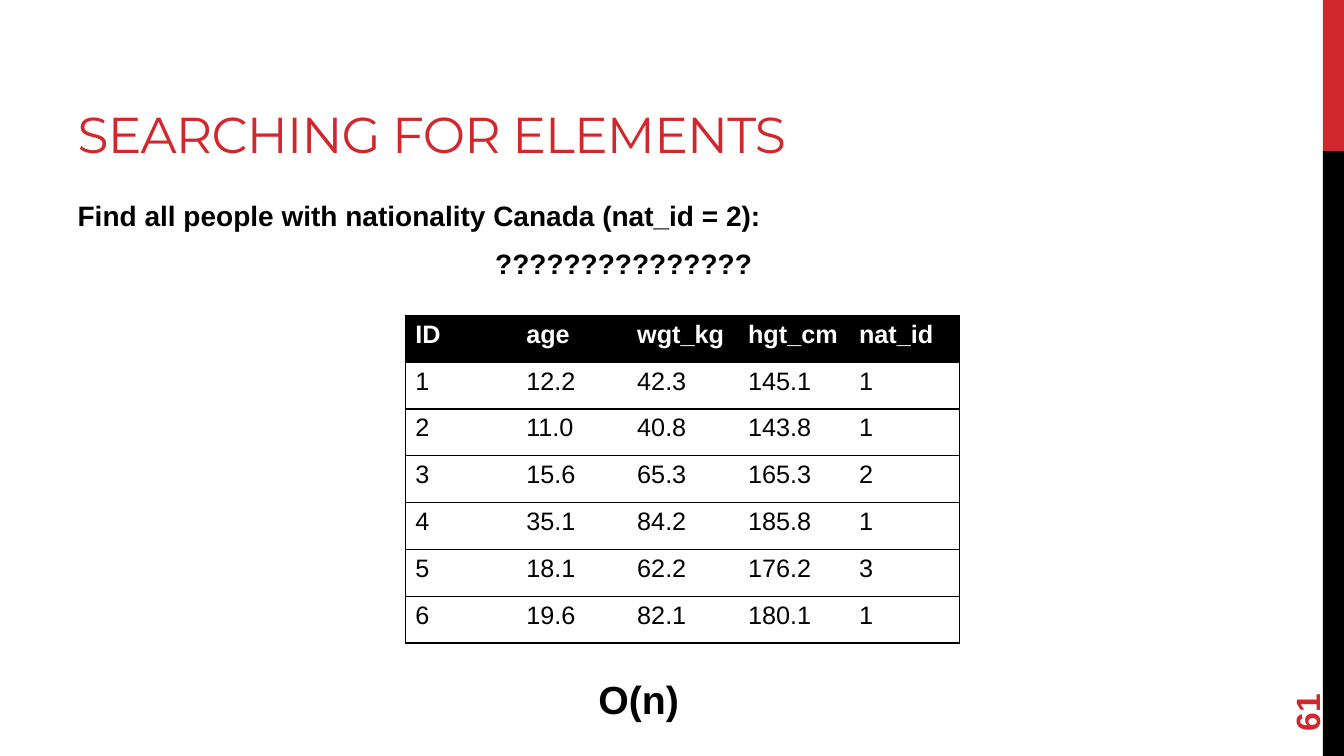
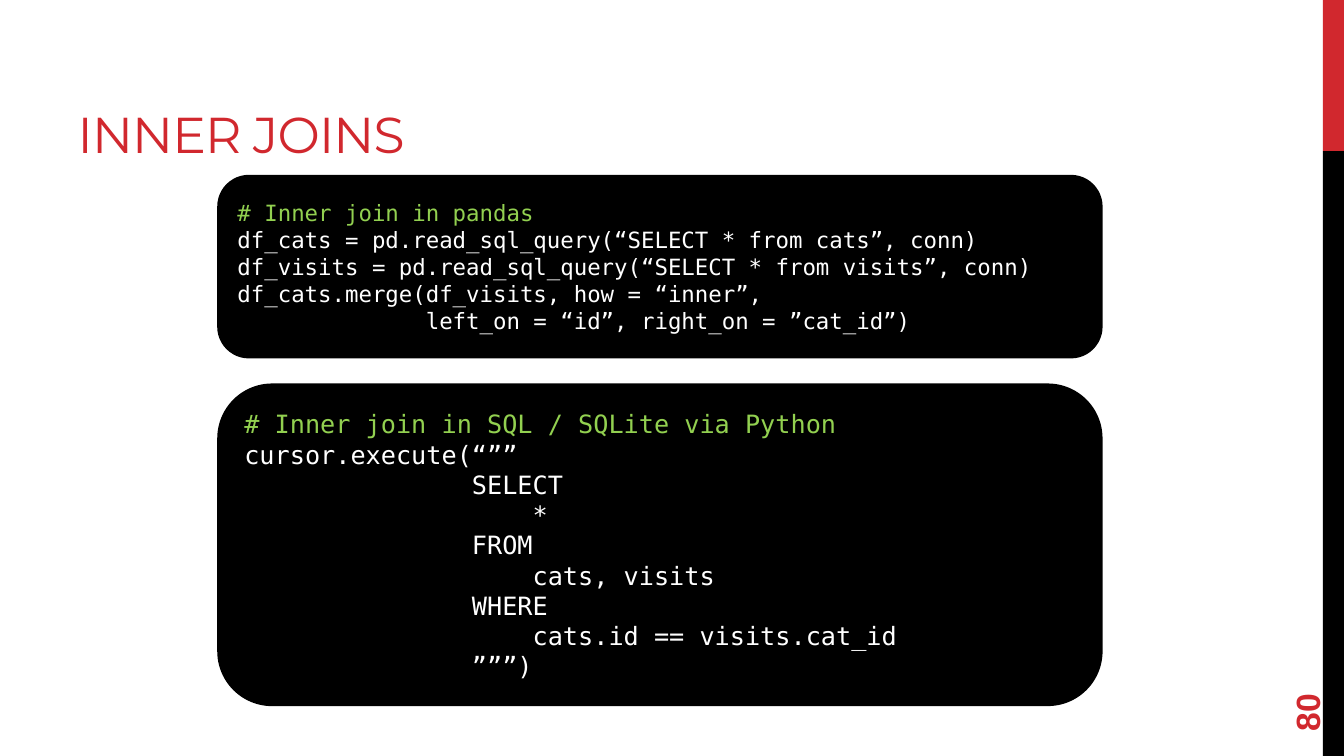
from lxml import etree
from pptx import Presentation
from pptx.dml.color import RGBColor
from pptx.enum.shapes import MSO_SHAPE
from pptx.enum.text import MSO_ANCHOR, MSO_AUTO_SIZE, PP_ALIGN
from pptx.oxml.ns import qn
from pptx.util import Inches, Pt

RECTANGLE, ROUNDED = MSO_SHAPE.RECTANGLE, MSO_SHAPE.ROUNDED_RECTANGLE
LEFT, CENTER = PP_ALIGN.LEFT, PP_ALIGN.CENTER
MIDDLE, BOTTOM = MSO_ANCHOR.MIDDLE, MSO_ANCHOR.BOTTOM
NO_FIT = MSO_AUTO_SIZE.NONE

RED, BLACK, WHITE, GREEN = "D1282E", "000000", "FFFFFF", "92D050"
TITLE_FONT, TEXT_FONT, CODE_FONT = "Montserrat", "Arial", "DejaVu Sans Mono"
SLIDE_WIDTH, SLIDE_HEIGHT = 13.33, 7.5
BAND_LEFT, BAND_WIDTH, BAND_SPLIT = 13.12, 0.21, 1.5
TITLE_BOX = (0.67, 0.17, 8.44, 1.5)
NUMBER_BOX = (12.24, 6.37, 1.44, 0.53)
TITLE_AND_CONTENT, TITLE_ONLY = 1, 5

PEOPLE = [
    ("ID", "age", "wgt_kg", "hgt_cm", "nat_id"),
    ("1", "12.2", "42.3", "145.1", "1"),
    ("2", "11.0", "40.8", "143.8", "1"),
    ("3", "15.6", "65.3", "165.3", "2"),
    ("4", "35.1", "84.2", "185.8", "1"),
    ("5", "18.1", "62.2", "176.2", "3"),
    ("6", "19.6", "82.1", "180.1", "1"),
]

PANDAS_CODE = """# Inner join in pandas
df_cats = pd.read_sql_query(“SELECT * from cats”, conn)
df_visits = pd.read_sql_query(“SELECT * from visits”, conn)
df_cats.merge(df_visits, how = “inner”,
              left_on = “id”, right_on = ”cat_id”)"""

SQL_CODE = """# Inner join in SQL / SQLite via Python
cursor.execute(“””
               SELECT
                   *
               FROM
                   cats, visits
               WHERE
                   cats.id == visits.cat_id
               ”””)"""


def color(value):
    return RGBColor.from_string(value)


def inches(box):
    return [Inches(length) for length in box]


def place(shape, box):
    shape.left, shape.top, shape.width, shape.height = inches(box)


def add_span(para, text, size, font=TEXT_FONT, ink=BLACK, bold=False):
    span = para.add_run()
    span.text = text
    span.font.size = Pt(size)
    span.font.name = font
    span.font.bold = bold
    span.font.color.rgb = color(ink)
    return span


def add_paragraphs(frame, count):
    """Return the frame's first paragraph followed by new ones."""
    return [frame.paragraphs[0]] + [frame.add_paragraph() for _ in range(count - 1)]


def add_filled_shape(page, kind, box, fill):
    shape = page.shapes.add_shape(kind, *inches(box))
    shape.shadow.inherit = False
    shape.fill.solid()
    shape.fill.fore_color.rgb = color(fill)
    shape.line.fill.background()
    return shape


def add_label(page, box, text, size, ink, align):
    label = page.shapes.add_textbox(*inches(box))
    label.text_frame.word_wrap = True
    para = label.text_frame.paragraphs[0]
    para.alignment = align
    add_span(para, text, size, ink=ink, bold=True)
    return label


def add_side_bands(deck, page):
    """Draw the bands on a page, then hand them to the slide master."""
    master_tree = deck.slide_master.element.cSld.spTree
    bands = [(0, BAND_SPLIT, RED), (BAND_SPLIT, SLIDE_HEIGHT - BAND_SPLIT, BLACK)]
    for top, height, fill in bands:
        box = (BAND_LEFT, top, BAND_WIDTH, height)
        master_tree.append(add_filled_shape(page, RECTANGLE, box, fill).element)


def add_page(deck, layout, title, number):
    page = deck.slides.add_slide(deck.slide_layouts[layout])
    heading = page.shapes.title
    place(heading, TITLE_BOX)
    frame = heading.text_frame
    frame.vertical_anchor = BOTTOM
    frame.auto_size = NO_FIT
    para = frame.paragraphs[0]
    para.alignment = LEFT
    span = add_span(para, title, 36, TITLE_FONT, RED)
    span.font._element.set("spc", "-60")

    label = add_label(page, NUMBER_BOX, number, 24, RED, LEFT)
    label.text_frame.vertical_anchor = MIDDLE
    label.rotation = 270
    return page


def fill_body(page, box, lines):
    """Fill the body placeholder with unbulleted (text, alignment) lines."""
    body = page.placeholders[1]
    place(body, box)
    frame = body.text_frame
    frame.auto_size = NO_FIT
    for para, (text, align) in zip(add_paragraphs(frame, len(lines)), lines):
        properties = para._p.get_or_add_pPr()
        properties.set("marL", "0")
        properties.set("indent", "0")
        etree.SubElement(properties, qn("a:buNone"))
        para.alignment = align
        para.space_after = Pt(6)
        add_span(para, text, 20, bold=True)
    frame.paragraphs[0].space_before = Pt(0)


def set_borders(cell, sides):
    """Draw black borders on the named sides (of L, R, T, B) and clear the rest."""
    properties = cell._tc.get_or_add_tcPr()
    for side in "LRTB":
        border = etree.SubElement(properties, qn("a:ln" + side), w=str(Pt(1)))
        if side in sides:
            fill = etree.SubElement(border, qn("a:solidFill"))
            etree.SubElement(fill, qn("a:srgbClr"), val=BLACK)
        else:
            etree.SubElement(border, qn("a:noFill"))


def add_ruled_table(page, box, rows):
    """Add a table with a black header, row rules and an outer frame."""
    last = len(rows[0]) - 1
    table = page.shapes.add_table(len(rows), last + 1, *inches(box)).table
    table.horz_banding = False
    for row, values in enumerate(rows):
        header = row == 0
        for column, text in enumerate(values):
            cell = table.cell(row, column)
            sides = "TB" + ("L" if column == 0 else "") + ("R" if column == last else "")
            set_borders(cell, sides)
            cell.fill.solid()
            cell.fill.fore_color.rgb = color(BLACK if header else WHITE)
            add_span(cell.text_frame.paragraphs[0], text, 18,
                     ink=WHITE if header else BLACK, bold=header)


def add_code_panel(page, box, code, size):
    panel = add_filled_shape(page, ROUNDED, box, BLACK)
    panel.line.color.rgb = color(BLACK)
    panel.line.width = Pt(2.25)
    frame = panel.text_frame
    frame.word_wrap = True
    frame.vertical_anchor = MIDDLE
    lines = code.split("\n")
    for para, text in zip(add_paragraphs(frame, len(lines)), lines):
        para.alignment = LEFT
        ink = GREEN if text.startswith("#") else WHITE
        add_span(para, text, size, CODE_FONT, ink)


def add_search_page(deck):
    page = add_page(deck, TITLE_AND_CONTENT, "SEARCHING FOR ELEMENTS", "61")
    fill_body(page, (0.67, 1.92, 11.11, 4.78), [
        ("Find all people with nationality Canada (nat_id = 2):", LEFT),
        ("??????????????? ", CENTER),
    ])
    add_ruled_table(page, (4.02, 3.13, 5.5, 3.25), PEOPLE)
    add_label(page, (5.71, 6.65, 1.25, 0.57), "O(n)", 28, BLACK, CENTER)
    return page


def add_join_page(deck):
    page = add_page(deck, TITLE_ONLY, "INNER JOINS", "80")
    add_code_panel(page, (2.17, 1.75, 8.75, 1.79), PANDAS_CODE, 16)
    add_code_panel(page, (2.17, 3.82, 8.75, 3.17), SQL_CODE, 18)


def main():
    deck = Presentation()
    deck.slide_width, deck.slide_height = inches((SLIDE_WIDTH, SLIDE_HEIGHT))
    add_side_bands(deck, add_search_page(deck))
    add_join_page(deck)
    deck.save("out.pptx")


if __name__ == "__main__":
    main()
